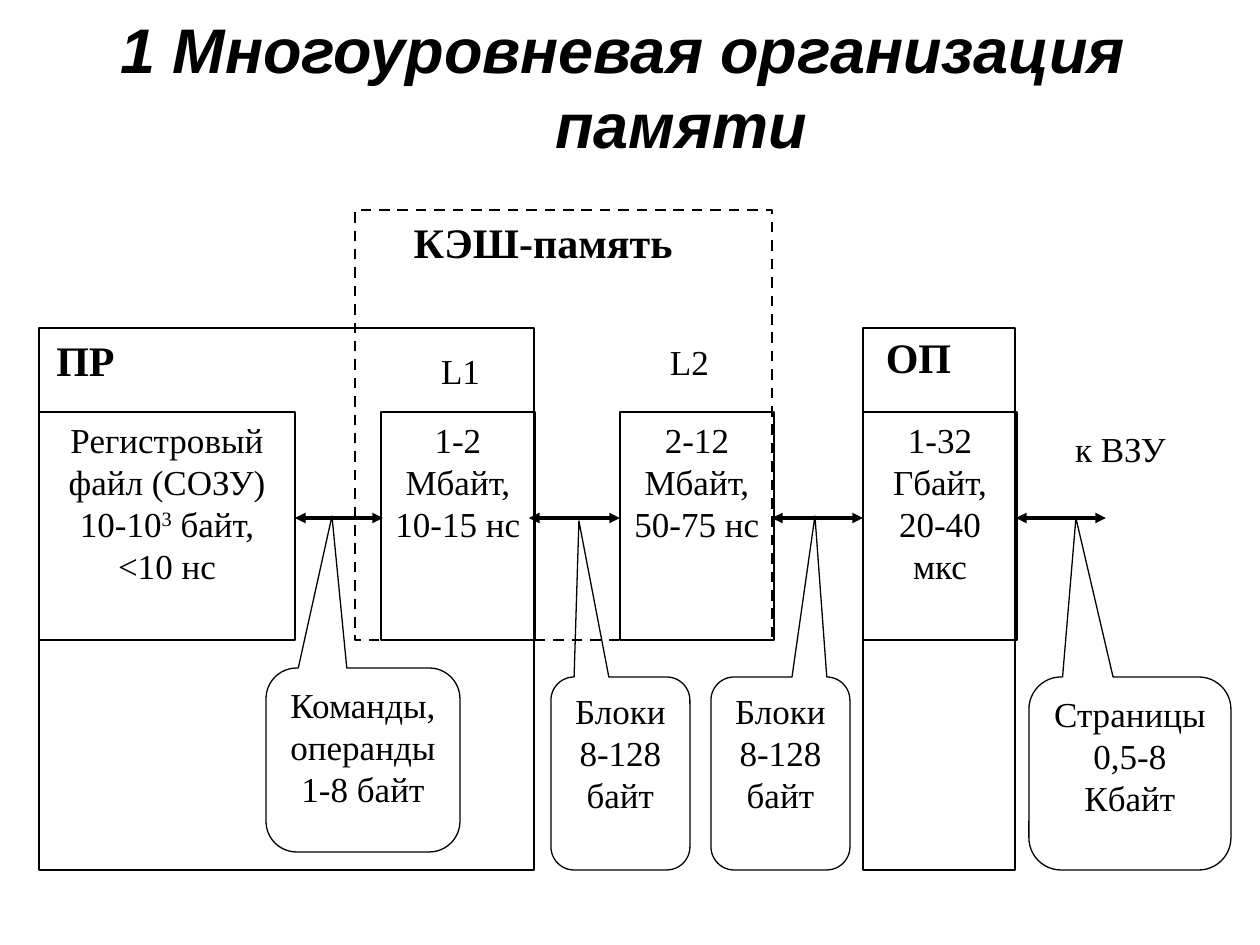
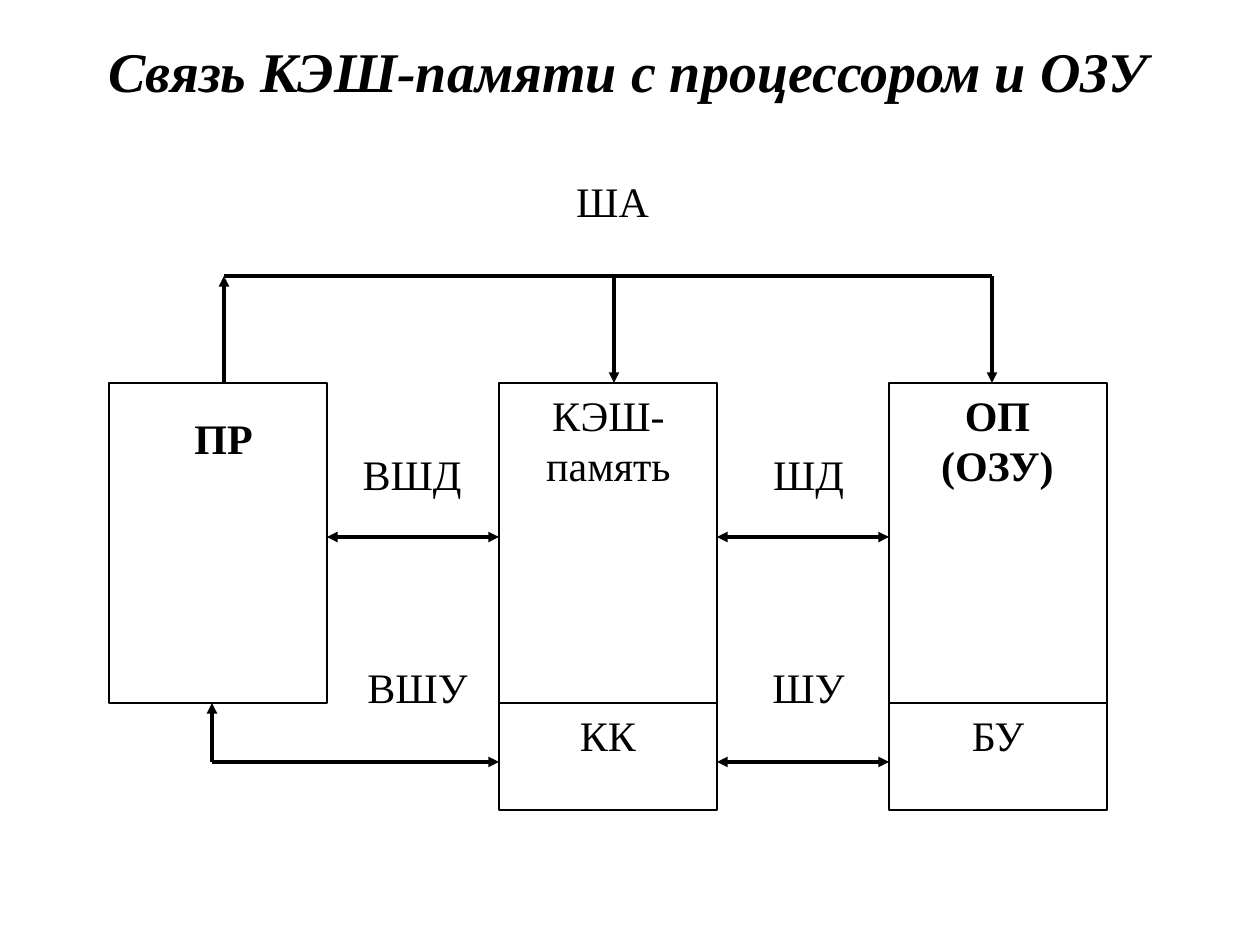
import dataclasses

import pptx
import pptx.dml.color
import pptx.enum.dml
import pptx.enum.shapes
import pptx.enum.text
import pptx.oxml.ns
import pptx.util
from lxml import etree

SCALE = 914400 / 126


@dataclasses.dataclass(frozen=True)
class Theme:
    ink: pptx.dml.color.RGBColor = pptx.dml.color.RGBColor(0, 0, 0)
    paper: pptx.dml.color.RGBColor = pptx.dml.color.RGBColor(255, 255, 255)
    serif: str = "Times New Roman"
    sans: str = "Arial"
    small: int = 20
    large: int = 24
    thin: float = 0.75
    edge: float = 1.5
    wire: float = 2


THEME = Theme()
KIND = pptx.enum.shapes.MSO_SHAPE


def px(size):
    return pptx.util.Emu(round(size * SCALE))


def area(box):
    return [px(size) for size in box]


def style(frame, size, bold=False, italic=False, font=THEME.serif):
    frame.word_wrap = True
    for para in frame.paragraphs:
        para.alignment = pptx.enum.text.PP_ALIGN.CENTER
        for run in para.runs:
            run.font.size = pptx.util.Pt(size)
            run.font.name = font
            run.font.bold = bold
            run.font.italic = italic
            run.font.color.rgb = THEME.ink


def raise_power(para):
    """Turn the part between two ^ marks into a superscript."""
    parts = para.text.split("^")
    para.text = parts[0]
    for i, part in enumerate(parts[1:], 1):
        run = para.add_run()
        run.text = part
        if i % 2:
            run.font._element.set("baseline", "30000")


def title(deck, text, box, size, font, hang=0):
    """Add a title-only slide; hang is the hanging indent of its title."""
    slide = deck.slides.add_slide(deck.slide_layouts[5])
    head = slide.shapes.title
    head.left, head.top, head.width, head.height = area(box)
    frame = head.text_frame
    frame.text = text
    frame.auto_size = pptx.enum.text.MSO_AUTO_SIZE.NONE
    frame.vertical_anchor = pptx.enum.text.MSO_ANCHOR.MIDDLE
    style(frame, size, True, True, font)
    if hang:
        props = frame.paragraphs[0]._p.get_or_add_pPr()
        props.set("marL", str(px(hang)))
        props.set("indent", str(-px(hang)))
    return slide


def block(slide, box, text="", size=THEME.small, kind=KIND.RECTANGLE, width=THEME.edge):
    shape = slide.shapes.add_shape(kind, *area(box))
    shape.shadow.inherit = False
    shape.fill.background()
    shape.line.color.rgb = THEME.ink
    shape.line.width = pptx.util.Pt(width)
    if text:
        frame = shape.text_frame
        frame.text = text
        frame.vertical_anchor = pptx.enum.text.MSO_ANCHOR.TOP
        for para in frame.paragraphs:
            if "^" in para.text:
                raise_power(para)
        style(frame, size)
    return shape


def callout(slide, box, tip, text):
    """Add a rounded callout whose tail ends at the point tip."""
    shape = block(slide, box, text, kind=KIND.ROUNDED_RECTANGULAR_CALLOUT, width=THEME.thin)
    left, top, width, height = box
    shape.adjustments[0] = (tip[0] - left) / width - 0.5
    shape.adjustments[1] = (tip[1] - top) / height - 0.5
    return shape


def label(slide, box, text, size=THEME.large, bold=False):
    frame = slide.shapes.add_textbox(*area(box)).text_frame
    frame.text = text
    style(frame, size, bold)


def wire(slide, start, end, heads=""):
    """Draw a line; heads names the ends with arrows: headEnd, tailEnd."""
    line = slide.shapes.add_connector(
        pptx.enum.shapes.MSO_CONNECTOR.STRAIGHT, *area(start + end))
    line.line.color.rgb = THEME.ink
    line.line.width = pptx.util.Pt(THEME.wire)
    props = line._element.spPr
    for name in heads.split():
        end_mark = etree.SubElement(props.find(pptx.oxml.ns.qn("a:ln")),
                                    pptx.oxml.ns.qn("a:" + name))
        end_mark.set("type", "triangle")
    etree.SubElement(props, pptx.oxml.ns.qn("a:effectLst"))


def link(slide, left, right, y):
    wire(slide, (right, y), (left, y), "headEnd tailEnd")


def draw_levels(deck):
    slide = title(deck, "1 Многоуровневая организация памяти",
                  (34, 14, 1178, 144), 36, THEME.sans, hang=116)
    top, tall, flow = 412, 228, 518

    block(slide, (39, 328, 495, 542))
    label(slide, (23, 328, 125, 97), "ПР", bold=True)
    block(slide, (39, top, 256, tall),
          "Регистровый\nфайл (СОЗУ)\n10-10^3^ байт,\n<10 нc")
    link(slide, 295, 383, flow)

    cache = block(slide, (355, 210, 417, 430))
    cache.line.dash_style = pptx.enum.dml.MSO_LINE.DASH
    label(slide, (364, 210, 358, 97), "КЭШ-память", bold=True)
    block(slide, (381, top, 154, tall), "1-2 Мбайт,\n10-15 нс")
    orders = callout(slide, (266, 668, 194, 184), (332, 516),
                     "Команды, операнды\n1-8 байт")
    orders.fill.solid()
    orders.fill.fore_color.rgb = THEME.paper

    block(slide, (620, top, 154, tall), "2-12 Мбайт,\n50-75 нс")
    link(slide, 529, 620, flow)
    block(slide, (863, 328, 152, 542))
    label(slide, (863, 325, 111, 79), "ОП", bold=True)
    link(slide, 772, 863, flow)
    block(slide, (863, top, 154, tall), "1-32 Гбайт,\n20-40 мкс")
    link(slide, 1016, 1106, flow)

    for left, width, tip, text in (
        (551, 139, (579, 521), "Блоки\v8-128\nбайт"),
        (711, 139, (815, 516), "Блоки\v8-128\nбайт"),
        (1029, 202, (1076, 518), "Страницы\v0,5-8\nКбайт"),
    ):
        callout(slide, (left, 677, width, 193), tip, text)
    for left, y, text in ((1051, 421, "к ВЗУ"), (391, 343, "L1"), (620, 334, "L2")):
        label(slide, (left, y, 139, 79), text, THEME.small)


def draw_buses(deck):
    slide = title(deck, "Связь КЭШ-памяти с процессором и ОЗУ",
                  (10, 14, 1237, 113), 32, THEME.serif)
    wide, top, foot = 218, 383, 703
    units = [109 + 390 * i for i in range(3)]
    cpu, cache, ram = units
    bus, data, control = 276, 537, 762

    for left in units:
        block(slide, (left, top, wide, foot - top))
    for left, text in ((cache, "КК"), (ram, "БУ")):
        block(slide, (left, foot, wide, 107), text, THEME.large)
    label(slide, (cpu + 12, 406, 205, 131), "ПР", bold=True)
    label(slide, (cache - 11, top, 241, 226), "КЭШ-память")
    label(slide, (ram - 12, top, 241, 226), "ОП\n(ОЗУ)", bold=True)

    wire(slide, (992, bus), (224, bus))
    wire(slide, (224, top), (224, bus), "tailEnd")
    for x in (614, 992):
        wire(slide, (x, bus), (x, top), "tailEnd")
    for left, right in zip(units, units[1:]):
        link(slide, left + wide, right, data)
    link(slide, cache + wide, ram, control)
    wire(slide, (cache, control), (212, control), "headEnd")
    wire(slide, (212, control), (212, foot), "tailEnd")

    for left, y, width, text in (
        (510, 169, 205, "ША"),
        (315, 442, 194, "ВШД"),
        (706, 442, 205, "ШД"),
        (315, 655, 205, "ВШУ"),
        (706, 655, 205, "ШУ"),
    ):
        label(slide, (left, y, width, 96), text)


def main():
    deck = pptx.Presentation()
    deck.slide_width, deck.slide_height = px(1260), px(945)
    draw_levels(deck)
    draw_buses(deck)
    deck.save("out.pptx")


if __name__ == "__main__":
    main()
